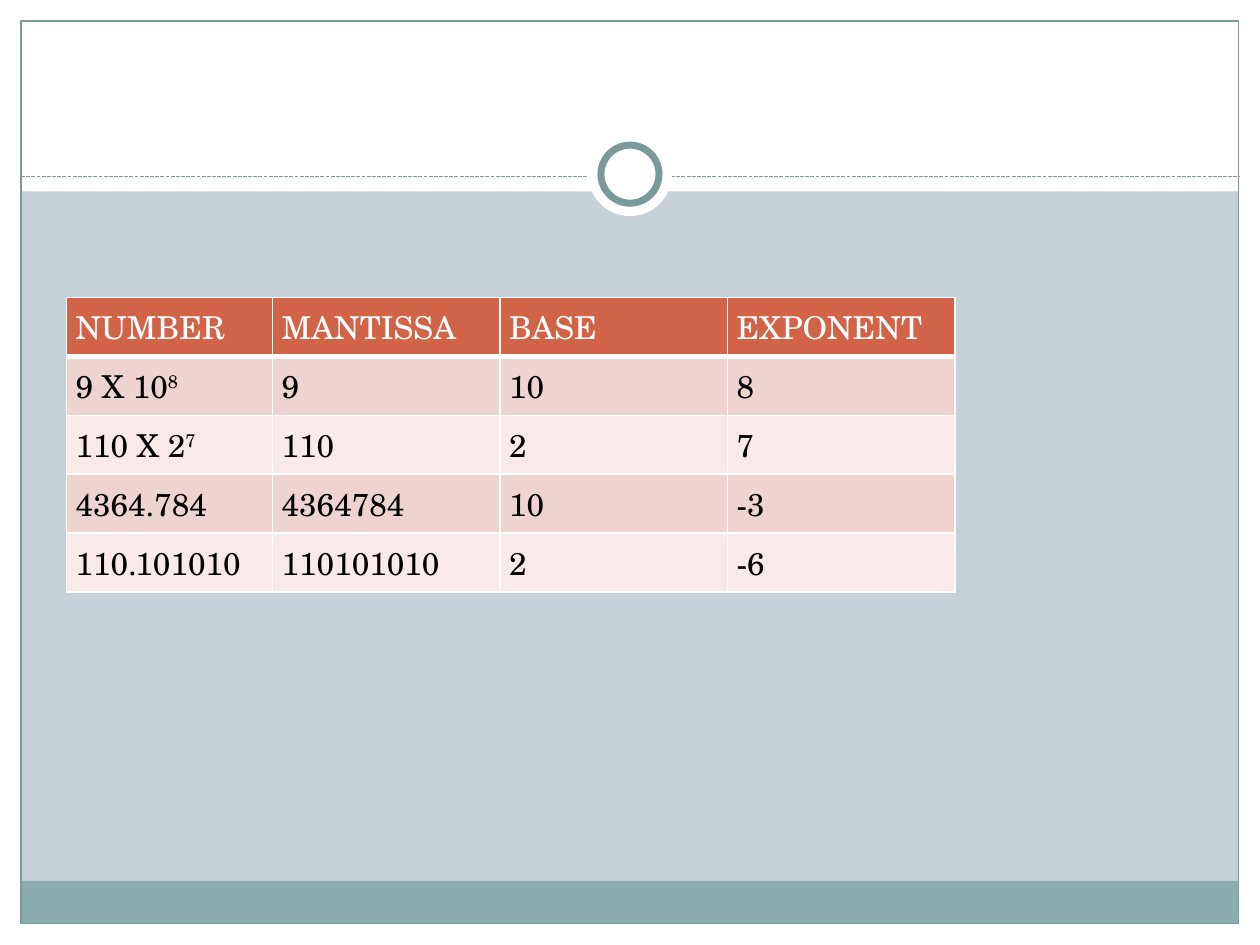
from lxml.etree import SubElement
from pptx import Presentation
from pptx.dml.color import RGBColor
from pptx.enum.dml import MSO_LINE
from pptx.enum.shapes import MSO_CONNECTOR, MSO_SHAPE
from pptx.oxml.ns import qn
from pptx.util import Pt

WIDTH, HEIGHT = 720, 540
MARGIN = 12.1
HEADER_HEIGHT = 109.4
FOOTER_HEIGHT = 24.5
RULE_Y = 100.8
RING_CENTER_Y = 99.5

COLUMN_WIDTHS = [117.8, 130, 130, 130]
ROW_HEIGHT = 29.2
# A caret marks the start of a superscript.
ROWS = [
    ["NUMBER", "MANTISSA", "BASE", "EXPONENT"],
    ["9 X 10^8", "9", "10", "8"],
    ["110 X 2^7", "110", "2", "7"],
    ["4364.784", "4364784", "10", "-3"],
    ["110.101010", "110101010", "2", "-6"],
]


def color(value):
    return RGBColor.from_string(value)


def set_values(target, values):
    for name, value in values.items():
        setattr(target, name, value)


class SlideBuilder:
    font = "TeX Gyre Schola"
    text_size = 18
    white, black = "FFFFFF", "000000"
    background, footer, outline = "C5D1D7", "8CADAE", "7C999A"
    header_fill, bands = "D16349", ["EED3D0", "F7EAE9"]
    cell_format = {
        "margin_left": Pt(5.2), "margin_right": Pt(5.2),
        "margin_top": Pt(3.6), "margin_bottom": Pt(3.6),
    }

    def __init__(self, slide):
        self.slide = slide
        fill = slide.background.fill
        fill.solid()
        fill.fore_color.rgb = color(self.background)

    def shape(self, left, top, width, height, fill=None, line_width=None,
              kind=MSO_SHAPE.RECTANGLE):
        shape = self.slide.shapes.add_shape(
            kind, Pt(left), Pt(top), Pt(width), Pt(height))
        shape.shadow.inherit = False
        if fill:
            shape.fill.solid()
            shape.fill.fore_color.rgb = color(fill)
        else:
            shape.fill.background()
        if line_width:
            shape.line.width = Pt(line_width)
            shape.line.color.rgb = color(self.outline)
        else:
            shape.line.fill.background()

    def circle(self, center_x, center_y, diameter, line_width=None):
        self.shape(center_x - diameter / 2, center_y - diameter / 2,
                   diameter, diameter, self.white, line_width, MSO_SHAPE.OVAL)

    def dashed_rule(self, left, right, y):
        rule = self.slide.shapes.add_connector(
            MSO_CONNECTOR.STRAIGHT, Pt(left), Pt(y), Pt(right), Pt(y))
        rule.line.color.rgb = color(self.outline)
        set_values(rule.line, {"width": Pt(0.75),
                               "dash_style": MSO_LINE.SQUARE_DOT})
        SubElement(rule._element.spPr, qn("a:effectLst"))

    def table(self, left, top, widths, row_height, rows):
        frame = self.slide.shapes.add_table(
            len(rows), len(widths), Pt(left), Pt(top),
            Pt(sum(widths)), Pt(row_height * len(rows)))
        table = frame.table
        for column, width in zip(table.columns, widths):
            column.width = Pt(width)
        for row_index, texts in enumerate(rows):
            table.rows[row_index].height = Pt(row_height)
            for column_index, text in enumerate(texts):
                self.fill_cell(table.cell(row_index, column_index), text,
                               row_index)

    def fill_cell(self, cell, text, row_index):
        is_header = row_index == 0
        set_values(cell, self.cell_format)
        self.cell_borders(cell, 3 if is_header else 1)
        cell.fill.solid()
        cell.fill.fore_color.rgb = color(
            self.header_fill if is_header else self.bands[(row_index - 1) % 2])
        para = cell.text_frame.paragraphs[0]
        base, _, exponent = text.partition("^")
        self.span(para, base, is_header)
        if exponent:
            span = self.span(para, exponent, is_header)
            span.font._element.set("baseline", "30000")

    def span(self, para, text, is_header):
        span = para.add_run()
        span.text = text
        set_values(span.font, {"name": self.font, "size": Pt(self.text_size),
                               "bold": False})
        span.font.color.rgb = color(self.white if is_header else self.black)
        return span

    def cell_borders(self, cell, bottom_width):
        properties = cell._tc.get_or_add_tcPr()
        widths = {"a:lnL": 1, "a:lnR": 1, "a:lnT": 1, "a:lnB": bottom_width}
        for tag, width in widths.items():
            border = SubElement(properties, qn(tag), w=str(Pt(width)))
            fill = SubElement(border, qn("a:solidFill"))
            SubElement(fill, qn("a:srgbClr"), val=self.white)


def main():
    deck = Presentation()
    set_values(deck, {"slide_width": Pt(WIDTH), "slide_height": Pt(HEIGHT)})
    page = SlideBuilder(deck.slides.add_slide(deck.slide_layouts[6]))

    right, bottom = WIDTH - MARGIN, HEIGHT - MARGIN
    inner_width = right - MARGIN
    for area in [(0, bottom, WIDTH, MARGIN), (0, 0, WIDTH, HEADER_HEIGHT),
                 (0, 0, MARGIN, HEIGHT), (right, 0, MARGIN, HEIGHT)]:
        page.shape(*area, fill=page.white)
    page.shape(MARGIN, bottom - FOOTER_HEIGHT, inner_width, FOOTER_HEIGHT,
               fill=page.footer)
    page.shape(MARGIN, MARGIN, inner_width, bottom - MARGIN, line_width=0.75)
    page.dashed_rule(MARGIN, right, RULE_Y)
    page.circle(WIDTH / 2, RING_CENTER_Y, 48)
    page.circle(WIDTH / 2, RING_CENTER_Y, 33.2, line_width=4)

    page.table(38, 170, COLUMN_WIDTHS, ROW_HEIGHT, ROWS)
    deck.save("out.pptx")


if __name__ == "__main__":
    main()
